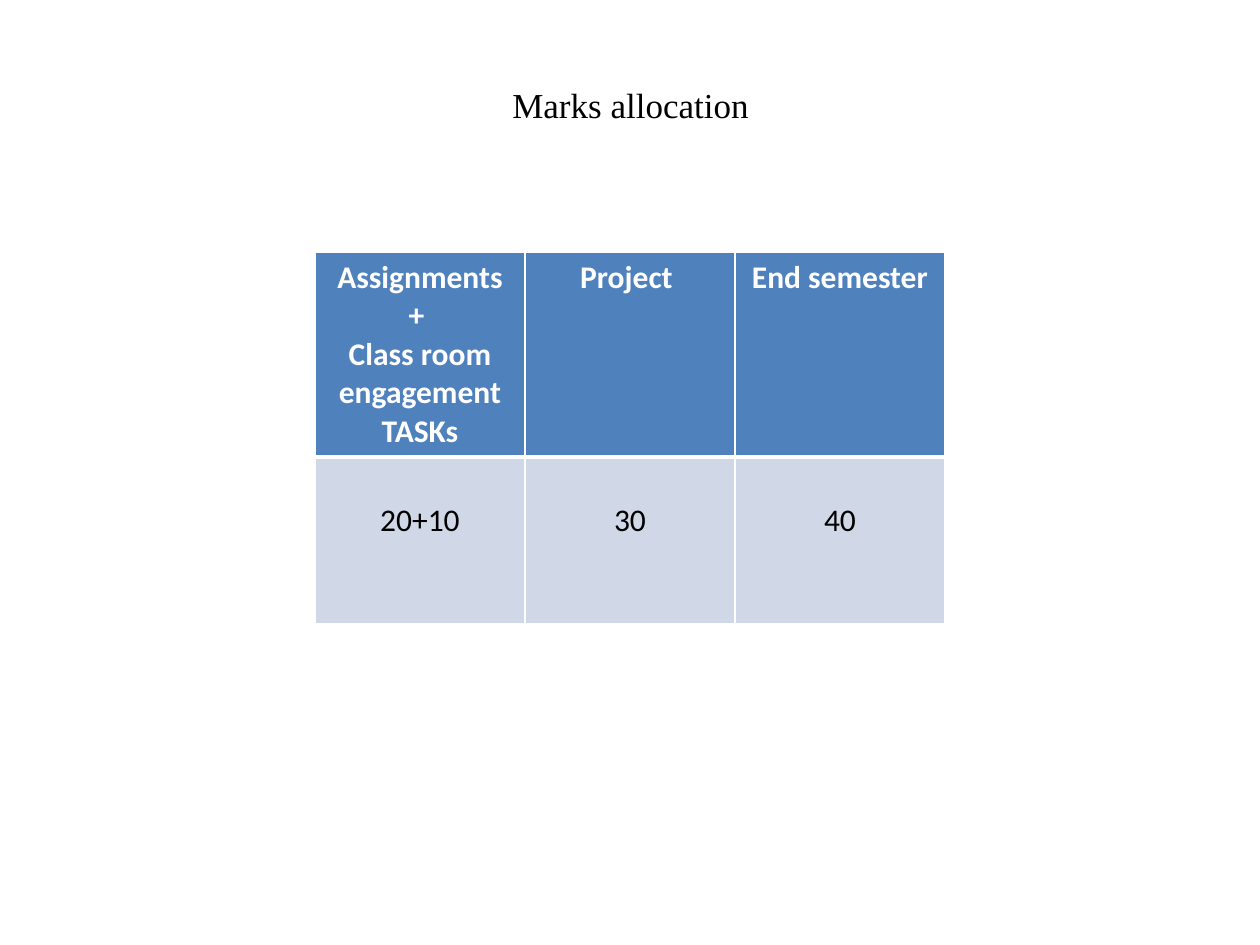
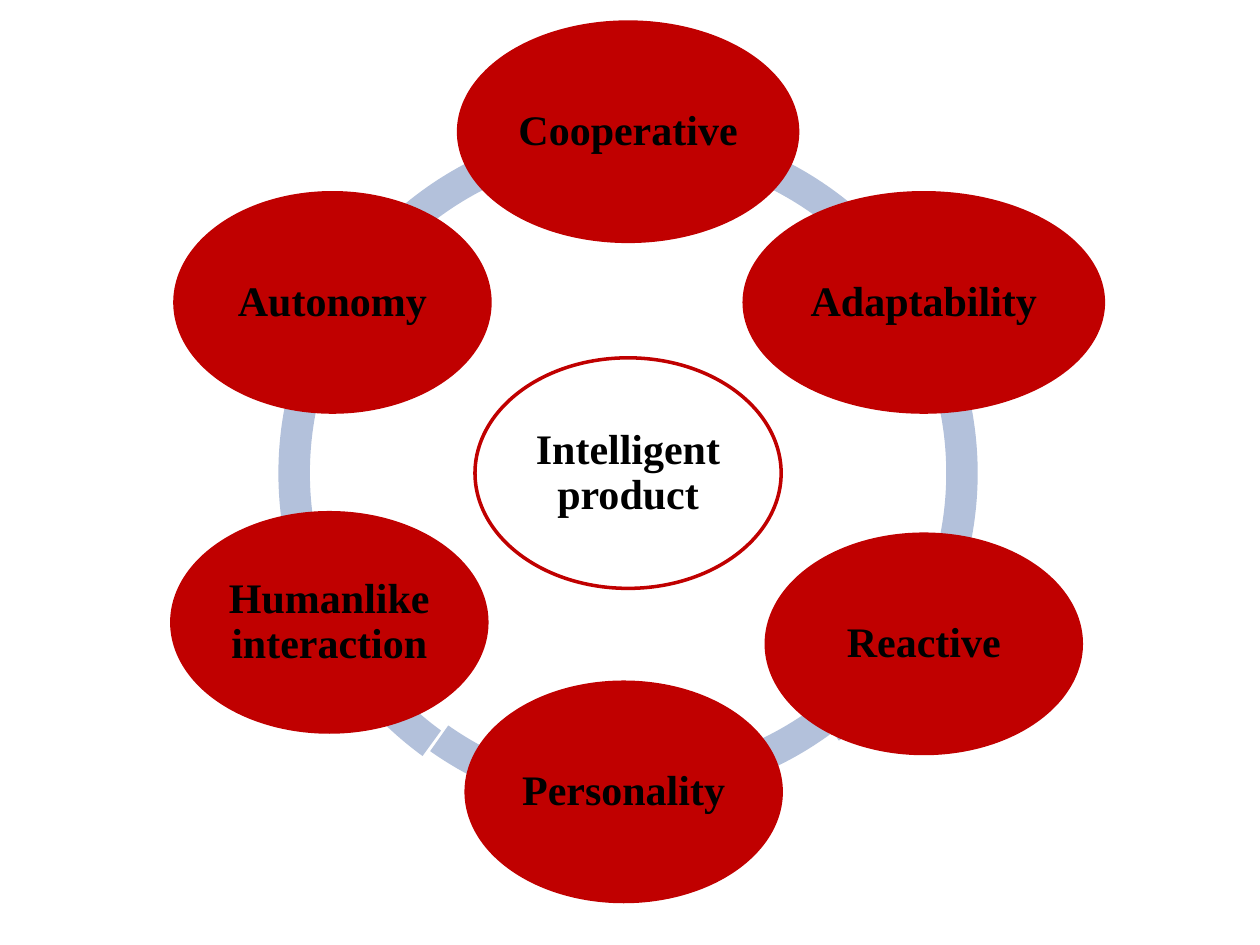
from dataclasses import dataclass
from math import cos, radians, sin

from lxml.etree import SubElement
from pptx import Presentation
from pptx.dml.color import RGBColor
from pptx.enum.shapes import MSO_SHAPE
from pptx.enum.text import MSO_ANCHOR, PP_ALIGN
from pptx.oxml.ns import qn
from pptx.util import Inches, Pt

BLACK = RGBColor(0x00, 0x00, 0x00)
WHITE = RGBColor(0xFF, 0xFF, 0xFF)
HEADER_BLUE = RGBColor(0x4F, 0x81, 0xBD)
BODY_BLUE = RGBColor(0xD0, 0xD8, 0xE8)
ARC_BLUE = RGBColor(0xB3, 0xC1, 0xDB)
RED = RGBColor(0xC0, 0x00, 0x00)
SERIF = "Times New Roman"
SANS = "Calibri"

MARKS = [
    ("Assignments + \nClass room engagement\nTASKs", "20+10"),
    ("Project ", "30"),
    ("End semester", "40"),
]

RING_RADIUS = 36.13
ARC_SIZE = 74
NODE_HEIGHT = 23.2
TRAITS = [
    ("Cooperative", 35.87, (0, 0)),
    ("Adaptability", 38, (0, 0)),
    ("Reactive", 33.33, (0, 0)),
    ("Personality", 33.33, (-0.47, -2.4)),
    ("Humanlike interaction", 33.33, (-0.33, -2.27)),
    ("Autonomy", 33.33, (0, 0)),
]
ARCS = [
    (126, 162, (0, 0)),
    (91.67, 125.24, (0.4, -0.8)),
    (54, 90, (-0.4, -2.27)),
    (20.46, 55.73, (1.47, -2.27)),
    (198, 18, (0, 0)),
    (162, 198, (0, 0)),
]


@dataclass
class Box:
    left: int
    top: int
    width: int
    height: int

    def region(self, left, top, width, height):
        return Box(
            int(self.left + self.width * left / 100),
            int(self.top + self.height * top / 100),
            int(self.width * width / 100),
            int(self.height * height / 100),
        )

    def around_centre(self, across, down, width, height):
        unit = self.height / 100
        return Box(
            int(self.left + self.width / 2 + (across - width / 2) * unit),
            int(self.top + self.height / 2 + (down - height / 2) * unit),
            int(width * unit),
            int(height * unit),
        )

    def place(self):
        return self.left, self.top, self.width, self.height


def write_text(frame, text, size=24, font=SERIF, color=BLACK, bold=False,
               spacing=None, inset=None):
    frame.word_wrap = True
    if inset is not None:
        frame.margin_left = frame.margin_right = inset
        frame.margin_top = frame.margin_bottom = inset
    for index, line in enumerate(text.split("\n")):
        paragraph = frame.add_paragraph() if index else frame.paragraphs[0]
        paragraph.alignment = PP_ALIGN.CENTER
        if spacing:
            paragraph.line_spacing = spacing
        run = paragraph.add_run()
        run.text = line
        run.font.size = Pt(size)
        run.font.name = font
        run.font.bold = bold
        run.font.color.rgb = color


def add_preset(slide, kind, box, fill=None, line=None):
    shape = slide.shapes.add_shape(kind, *box.place())
    shape.shadow.inherit = False
    if fill is None:
        shape.fill.background()
    else:
        shape.fill.solid()
        shape.fill.fore_color.rgb = fill
    if line is None:
        shape.line.fill.background()
    else:
        shape.line.color.rgb = line
        shape.line.width = Pt(2)
    return shape


def add_title(slide, box, text):
    title = slide.shapes.add_textbox(*box.place())
    title.text_frame.vertical_anchor = MSO_ANCHOR.MIDDLE
    write_text(title.text_frame, text, size=20)


def set_borders(cell, top, bottom):
    properties = cell._tc.get_or_add_tcPr()
    for side, width in (("L", 1), ("R", 1), ("T", top), ("B", bottom)):
        border = SubElement(properties, qn(f"a:ln{side}"), w=str(Pt(width)))
        fill = SubElement(border, qn("a:solidFill"))
        SubElement(fill, qn("a:srgbClr"), val=str(WHITE))


def add_marks_table(slide, box):
    table = slide.shapes.add_table(2, len(MARKS), *box.place()).table
    for row, share in zip(table.rows, (0.55, 0.45)):
        row.height = int(box.height * share)
    for column, (heading, marks) in enumerate(MARKS):
        header, body = table.cell(0, column), table.cell(1, column)
        set_borders(header, top=1, bottom=3)
        set_borders(body, top=3, bottom=1)
        for cell, color in ((header, HEADER_BLUE), (body, BODY_BLUE)):
            cell.fill.solid()
            cell.fill.fore_color.rgb = color
        write_text(header.text_frame, heading, size=18, font=SANS,
                   color=WHITE, bold=True)
        body.margin_top = int(box.height * 0.12)
        write_text(body.text_frame, marks, size=18, font=SANS)


def add_label_ellipse(slide, box, text, fill=None):
    ellipse = add_preset(slide, MSO_SHAPE.OVAL, box, fill=fill, line=RED)
    ellipse.text_frame.vertical_anchor = MSO_ANCHOR.MIDDLE
    write_text(ellipse.text_frame, text, bold=True, spacing=0.9,
               inset=Inches(0.03))


def add_trait_wheel(slide, box, hub):
    for start, end, (across, down) in ARCS:
        place = box.around_centre(across, down, ARC_SIZE, ARC_SIZE)
        arc = add_preset(slide, MSO_SHAPE.BLOCK_ARC, place, fill=ARC_BLUE)
        arc.adjustments[0] = start * 0.6
        arc.adjustments[1] = end * 0.6
        arc.adjustments[2] = 0.045
    add_label_ellipse(slide, box.around_centre(0, 0, 32.4, 24.4), hub)
    for index, (trait, width, (across, down)) in enumerate(TRAITS):
        angle = radians(index * 360 / len(TRAITS) - 90)
        place = box.around_centre(
            RING_RADIUS * cos(angle) + across,
            RING_RADIUS * sin(angle) + down,
            width, NODE_HEIGHT,
        )
        add_label_ellipse(slide, place, trait, fill=RED)


def add_marks_slide(presentation, page):
    slide = presentation.slides.add_slide(presentation.slide_layouts[6])
    add_marks_table(slide, page.region(25, 26.67, 50, 39.33))
    add_title(slide, page.region(34.2, 7.73, 31.7, 6.67), "Marks allocation")


def add_traits_slide(presentation, page):
    slide = presentation.slides.add_slide(presentation.slide_layouts[6])
    wheel = page.region(-0.15, 0.07, 100, 100)
    add_trait_wheel(slide, wheel, "Intelligent product")


def main():
    presentation = Presentation()
    presentation.slide_width = Inches(10)
    presentation.slide_height = Inches(7.5)
    page = Box(0, 0, presentation.slide_width, presentation.slide_height)
    add_marks_slide(presentation, page)
    add_traits_slide(presentation, page)
    presentation.save("out.pptx")


if __name__ == "__main__":
    main()
